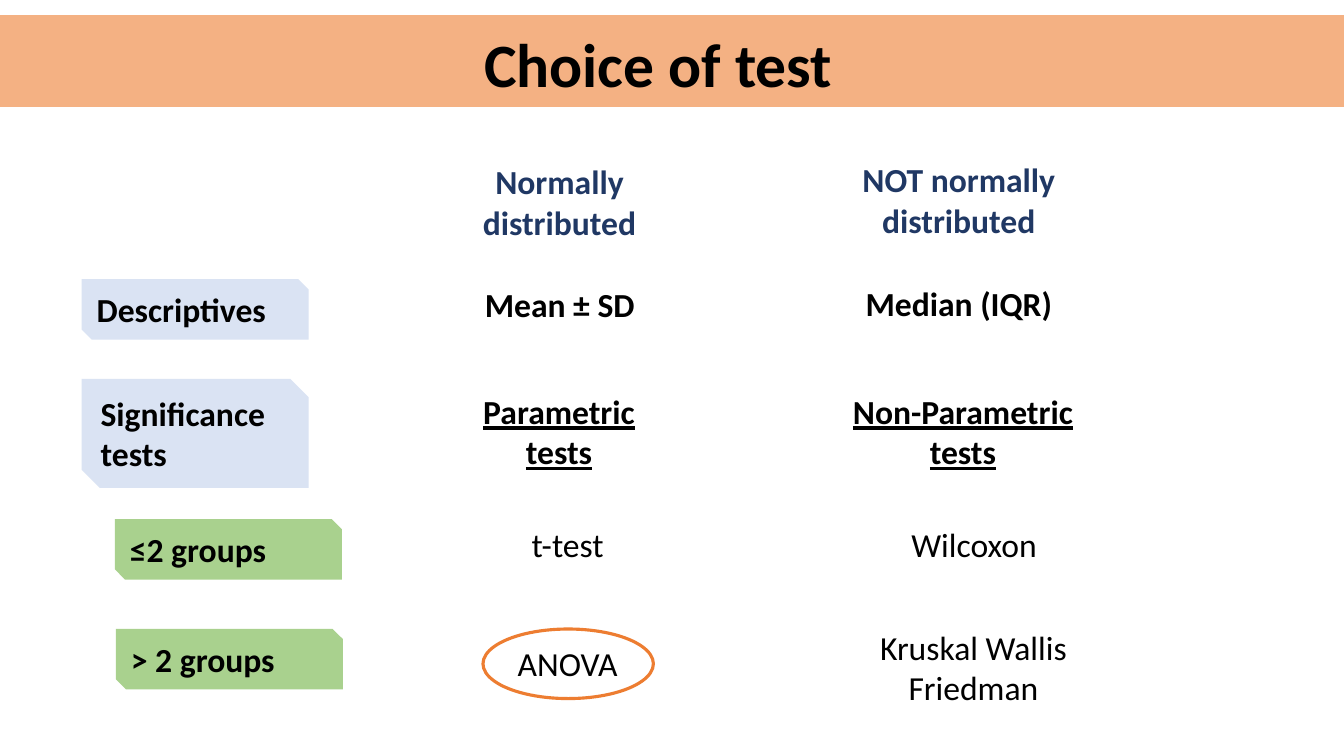
from pptx import Presentation
from pptx.dml.color import RGBColor
from pptx.enum.shapes import MSO_SHAPE
from pptx.enum.text import MSO_ANCHOR, PP_ALIGN
from pptx.util import Inches, Pt

RECTANGLE, OVAL = MSO_SHAPE.RECTANGLE, MSO_SHAPE.OVAL
SNIPPED = MSO_SHAPE.SNIP_2_DIAG_RECTANGLE
LEFT, CENTER = PP_ALIGN.LEFT, PP_ALIGN.CENTER
TOP, MIDDLE = MSO_ANCHOR.TOP, MSO_ANCHOR.MIDDLE

# Content: boxes are (left, top, width, height) in inches
FONT = "Calibri"
BLACK, NAVY = "000000", "203864"
PEACH, ORANGE, BLUE, GREEN = "F4B183", "ED7D31", "DAE3F3", "A9D18E"

BAND = (-0.26, 0.15, 13.91, 0.91)
TITLE = ("Choice of test", (2.28, 0.24, 8.5, 0.86))
COLUMN_HEADINGS = [
    ("Normally distributed", (4.3, 1.46, 2.5, 1.08)),
    ("NOT normally distributed", (8.22, 1.44, 2.58, 1.08)),
]
LABEL_WIDTH = 2.25
ROW_LABELS = [  # text, left, top, height, fill
    ("Descriptives", 0.81, 2.77, 0.6, BLUE),
    ("Significance tests", 0.81, 3.76, 1.08, BLUE),
    ("≤2 groups", 1.14, 5.15, 0.6, GREEN),
    ("> 2 groups", 1.15, 6.24, 0.6, GREEN),
]
CELLS = [  # paragraphs, box, alignment, bold, underline
    (["Mean ± SD"], (4.71, 2.77, 1.83, 0.5), LEFT, True, False),
    (["Median (IQR)"], (7.92, 2.76, 3.18, 0.5), CENTER, True, False),
    (["Parametric tests"], (4.63, 3.83, 1.83, 0.91), CENTER, True, True),
    (["Non-Parametric tests"], (8.14, 3.83, 2.82, 0.91), CENTER, True, True),
    (["t-test"], (4.88, 5.15, 1.5, 0.5), CENTER, False, False),
    (["Wilcoxon"], (7.35, 5.15, 4.62, 0.5), CENTER, False, False),
    (["ANOVA"], (4.88, 6.33, 1.5, 0.5), CENTER, False, False),
    (["Kruskal Wallis", "Friedman"], (7.99, 6.17, 3.33, 0.91), CENTER, False, False),
]
ANOVA_RING = (4.79, 6.24, 1.69, 0.69)


def color(value):
    return RGBColor.from_string(value)


def add_shape(slide, kind, box, fill=None, line=None):
    shape = slide.shapes.add_shape(kind, *map(Inches, box))
    shape.shadow.inherit = False
    if fill:
        shape.fill.solid()
        shape.fill.fore_color.rgb = color(fill)
    else:
        shape.fill.background()
    if line:
        shape.line.color.rgb = color(line)
        shape.line.width = Pt(2.25)
    else:
        shape.line.fill.background()
    return shape


def write(shape, lines, alignment=CENTER, size=24, font_color=BLACK,
          bold=True, underline=False, anchor=TOP, spacing=None):
    frame = shape.text_frame
    frame.word_wrap = True
    frame.vertical_anchor = anchor
    for index, line in enumerate(lines):
        paragraph = frame.add_paragraph() if index else frame.paragraphs[0]
        paragraph.alignment = alignment
        if spacing:
            paragraph.line_spacing = spacing
        run = paragraph.add_run()
        run.text = line
        run.font.name = FONT
        run.font.size = Pt(size)
        run.font.bold = bold
        run.font.underline = underline
        run.font.color.rgb = color(font_color)


def main():
    presentation = Presentation()
    presentation.slide_width = Inches(13.33)
    presentation.slide_height = Inches(7.5)
    slide = presentation.slides.add_slide(presentation.slide_layouts[6])

    # Title band
    add_shape(slide, RECTANGLE, BAND, fill=PEACH)
    title, title_box = TITLE
    write(slide.shapes.add_textbox(*map(Inches, title_box)), [title],
          size=44, anchor=MIDDLE, spacing=0.9)

    # Column headings
    for text, box in COLUMN_HEADINGS:
        write(add_shape(slide, SNIPPED, box), [text], font_color=NAVY)

    # Row labels
    for text, left, top, height, fill in ROW_LABELS:
        label = add_shape(slide, SNIPPED, (left, top, LABEL_WIDTH, height), fill)
        write(label, [text], LEFT)

    # Tests and statistics
    for lines, box, alignment, bold, underline in CELLS:
        write(slide.shapes.add_textbox(*map(Inches, box)), lines, alignment,
              bold=bold, underline=underline)

    # Ring around ANOVA
    add_shape(slide, OVAL, ANOVA_RING, line=ORANGE)

    presentation.save("out.pptx")


if __name__ == "__main__":
    main()
